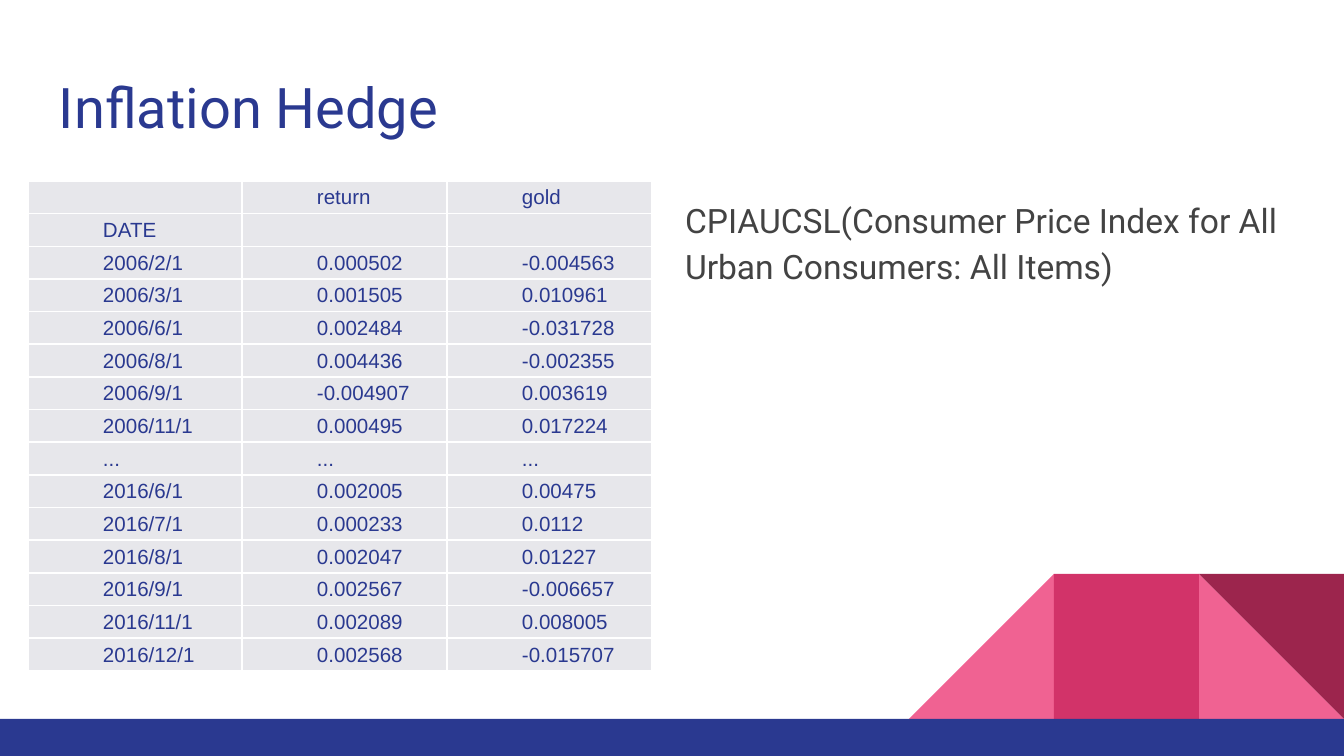
"""Build the Inflation Hedge slide with its return table."""
from dataclasses import dataclass
from typing import NamedTuple

from lxml import etree
from pptx import Presentation
from pptx.dml.color import RGBColor
from pptx.enum.shapes import MSO_SHAPE
from pptx.enum.text import MSO_ANCHOR
from pptx.oxml.ns import qn
from pptx.util import Emu, Pt

RECT = MSO_SHAPE.RECTANGLE
TRI = MSO_SHAPE.RIGHT_TRIANGLE
MIDDLE = MSO_ANCHOR.MIDDLE
SCALE = 9144000 / 1344


@dataclass(frozen=True)
class Theme:
    navy: str = "2A3990"
    grey: str = "434343"
    pale: str = "E7E7EB"
    white: str = "FFFFFF"
    pink: str = "F06292"
    rose: str = "D23369"
    wine: str = "9C254D"
    head: int = 30
    body: int = 18
    cell: int = 11
    sans: str = "Roboto"
    grid: str = "Arial"


class Box(NamedTuple):
    left: int
    top: int
    width: int
    height: int


class Block(NamedTuple):
    kind: MSO_SHAPE
    box: Box
    fill: str
    turn: int = 0
    flip: bool = False


class Label(NamedTuple):
    text: str
    box: Box
    size: int
    color: str
    space: float = 1.0


THEME = Theme()
SIDE = 145
TOP = 574
BASE = 719
RIGHT = 1344

BLOCKS = [
    Block(TRI, Box(RIGHT - SIDE, TOP, SIDE, SIDE), THEME.pink),
    Block(TRI, Box(RIGHT - 3 * SIDE, TOP, SIDE, SIDE), THEME.pink, flip=True),
    Block(RECT, Box(RIGHT - 2 * SIDE, TOP, SIDE, SIDE), THEME.rose),
    Block(TRI, Box(RIGHT - SIDE, TOP, SIDE, SIDE), THEME.wine, turn=180),
    Block(RECT, Box(0, BASE, RIGHT, 37), THEME.navy),
]
LABELS = [
    Label("Inflation Hedge", Box(46, 60, 1252, 89), THEME.head, THEME.navy),
    Label("CPIAUCSL(Consumer Price Index for All Urban Consumers: All Items)",
          Box(672, 181, 626, 490), THEME.body, THEME.grey, 1.15),
]
GRID = Box(28, 181, 624, 490)
COLS = (214, 205, 205)
ROWS = [
    ("", "return", "gold"),
    ("DATE", "", ""),
    ("2006/2/1", "0.000502", "-0.004563"),
    ("2006/3/1", "0.001505", "0.010961"),
    ("2006/6/1", "0.002484", "-0.031728"),
    ("2006/8/1", "0.004436", "-0.002355"),
    ("2006/9/1", "-0.004907", "0.003619"),
    ("2006/11/1", "0.000495", "0.017224"),
    ("...", "...", "..."),
    ("2016/6/1", "0.002005", "0.00475"),
    ("2016/7/1", "0.000233", "0.0112"),
    ("2016/8/1", "0.002047", "0.01227"),
    ("2016/9/1", "0.002567", "-0.006657"),
    ("2016/11/1", "0.002089", "0.008005"),
    ("2016/12/1", "0.002568", "-0.015707"),
]


def px(count: int) -> Emu:
    """Turn px into EMU."""
    return Emu(round(count * SCALE))


def place(box: Box) -> list[Emu]:
    """Turn a box into EMU lengths."""
    return [px(side) for side in box]


def style(para, face: str, size: int, color: str) -> None:
    """Set the font of a paragraph."""
    para.font.name = face
    para.font.size = Pt(size)
    para.font.color.rgb = RGBColor.from_string(color)


def draw_block(slide, block: Block) -> None:
    """Draw one plain filled shape."""
    shape = slide.shapes.add_shape(block.kind, *place(block.box))
    shape.shadow.inherit = False
    shape.fill.solid()
    shape.fill.fore_color.rgb = RGBColor.from_string(block.fill)
    shape.line.fill.background()
    shape.rotation = block.turn
    if block.flip:
        shape._element.spPr.xfrm.set("flipH", "1")


def draw_label(slide, label: Label) -> None:
    """Draw one wrapped text box."""
    frame = slide.shapes.add_textbox(*place(label.box)).text_frame
    frame.word_wrap = True
    frame.margin_left = frame.margin_right = px(13)
    frame.margin_top = frame.margin_bottom = px(13)
    para = frame.paragraphs[0]
    para.text = label.text
    para.line_spacing = label.space
    style(para, THEME.sans, label.size, label.color)


def edge(cell, color: str) -> None:
    """Add thin borders to a cell."""
    props = cell._tc.get_or_add_tcPr()
    for side in ("a:lnL", "a:lnR", "a:lnT", "a:lnB"):
        line = etree.SubElement(props, qn(side), w=str(Pt(1)))
        fill = etree.SubElement(line, qn("a:solidFill"))
        etree.SubElement(fill, qn("a:srgbClr"), val=color)


def draw_cell(cell, text: str) -> None:
    """Fill one table cell."""
    edge(cell, THEME.white)
    cell.fill.solid()
    cell.fill.fore_color.rgb = RGBColor.from_string(THEME.pale)
    cell.vertical_anchor = MIDDLE
    cell.margin_left = px(75)
    cell.margin_right = cell.margin_top = px(1)
    cell.margin_bottom = 0
    para = cell.text_frame.paragraphs[0]
    para.text = text
    style(para, THEME.grid, THEME.cell, THEME.navy)
    if not text:
        para._p.get_or_add_endParaRPr().set("sz", str(THEME.cell * 100))


def draw_table(slide) -> None:
    """Draw the table of returns."""
    table = slide.shapes.add_table(len(ROWS), len(COLS), *place(GRID)).table
    table.first_row = table.horz_banding = False
    for col, width in zip(table.columns, COLS):
        col.width = px(width)
    for row, texts in zip(table.rows, ROWS):
        for cell, text in zip(row.cells, texts):
            draw_cell(cell, text)


def main() -> None:
    """Build and save the slide."""
    deck = Presentation()
    deck.slide_width, deck.slide_height = px(1344), px(756)
    slide = deck.slides.add_slide(deck.slide_layouts[6])
    for block in BLOCKS:
        draw_block(slide, block)
    for label in LABELS:
        draw_label(slide, label)
    draw_table(slide)
    deck.save("out.pptx")


if __name__ == "__main__":
    main()
